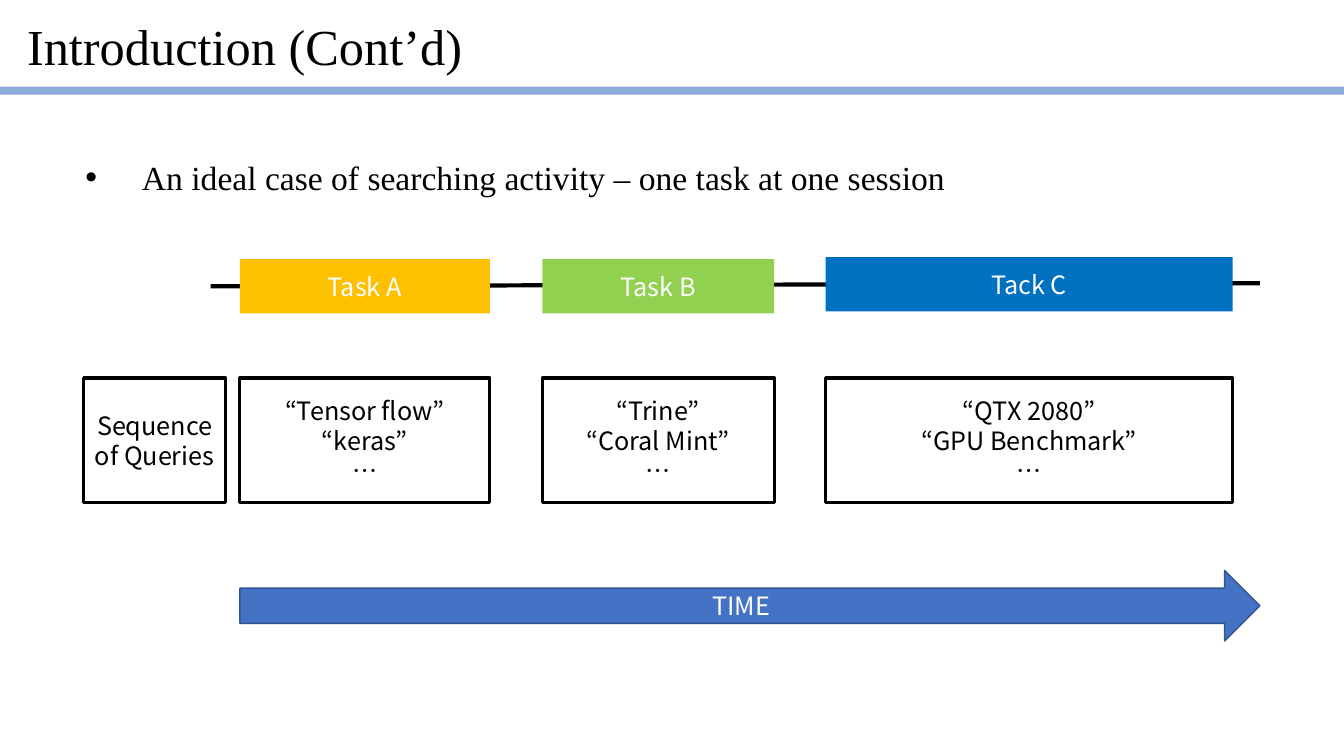
from dataclasses import dataclass

from lxml import etree
from pptx import Presentation
from pptx import util as u
from pptx.dml.color import RGBColor
from pptx.enum import shapes, text
from pptx.oxml.ns import qn

COLS, ROWS = 160, 90
WIDTH, HEIGHT = u.Inches(13.333), u.Inches(7.5)


@dataclass(frozen=True)
class Theme:
    """Colours, fonts and type sizes of the slide."""
    ink: str = "000000"
    paper: str = "FFFFFF"
    rule: str = "8FAADC"
    arrow: str = "4472C4"
    arrow_edge: str = "325491"
    serif: str = "Times New Roman"
    sans: str = "Noto Sans CJK KR"
    title: int = 36
    body: int = 24
    label: int = 18


T = Theme()

TASKS = [
    ("Task A", "FFC000", 28.56, 30.84, 29.76, "“Tensor flow”\n“keras”\n…"),
    ("Task B", "92D050", 64.56, 30.84, 27.6, "“Trine”\v“Coral Mint”\n…"),
    ("Tack C", "0070C0", 98.28, 30.6, 48.48, "“QTX 2080”\n“GPU Benchmark”\n…"),
]


def x(cols):
    """Convert grid columns to a length."""
    return u.Emu(round(WIDTH * cols / COLS))


def y(rows):
    """Convert grid rows to a length."""
    return u.Emu(round(HEIGHT * rows / ROWS))


def place(left, top, width, height):
    """Convert a grid box to slide lengths."""
    return x(left), y(top), x(width), y(height)


def write(sp, words, font, size, color, align, anchor):
    """Fill a shape with evenly formatted text."""
    tf = sp.text_frame
    tf.text = words
    tf.word_wrap = True
    tf.vertical_anchor = anchor
    for p in tf.paragraphs:
        p.alignment = align
        for r in p.runs:
            r.font.size = u.Pt(size)
            r.font.color.rgb = RGBColor.from_string(color)
            r.font.name = font
            etree.SubElement(r.font._element, qn("a:ea"), typeface=font)
    return tf.paragraphs[0]


def add_block(s, box, words="", fill=None, line=None, weight=1, color=T.paper,
              kind=shapes.MSO_SHAPE.RECTANGLE):
    """Add a preset shape with centred label text."""
    sp = s.shapes.add_shape(kind, *place(*box))
    sp.shadow.inherit = False
    if fill:
        sp.fill.solid()
        sp.fill.fore_color.rgb = RGBColor.from_string(fill)
    else:
        sp.fill.background()
    if line:
        sp.line.color.rgb = RGBColor.from_string(line)
        sp.line.width = u.Pt(weight)
    else:
        sp.line.fill.background()
    if words:
        write(sp, words, T.sans, T.label, color,
              text.PP_ALIGN.CENTER, text.MSO_ANCHOR.MIDDLE)


def add_queries(s, left, width, words):
    """Add an outlined box in the row of queries."""
    add_block(s, (left, 45, width, 14.88), words, line=T.ink, weight=2.25, color=T.ink)


def add_text(s, box, words, size, spacing, anchor):
    """Add a justified serif text box and return its paragraph."""
    sp = s.shapes.add_textbox(*place(*box))
    p = write(sp, words, T.serif, size, T.ink, text.PP_ALIGN.JUSTIFY, anchor)
    p.line_spacing = spacing
    return p


def add_bullet(p):
    """Give a paragraph a hanging bullet."""
    p.level = 1
    pPr = p._p.get_or_add_pPr()
    pPr.set("marL", str(u.Inches(1.06)))
    pPr.set("indent", str(u.Inches(-0.56)))
    etree.SubElement(pPr, qn("a:buFont"), typeface="Arial")
    etree.SubElement(pPr, qn("a:buChar"), char="•")


def add_timeline(s):
    """Add the line that runs behind the tasks."""
    line = s.shapes.add_connector(shapes.MSO_CONNECTOR.STRAIGHT,
                                  x(25.08), y(34.08), x(150), y(33.72))
    line.line.color.rgb = RGBColor.from_string(T.ink)
    line.line.width = u.Pt(3)
    etree.SubElement(line._element.spPr, qn("a:effectLst"))


def main():
    """Build and save the slide."""
    prs = Presentation()
    prs.slide_width, prs.slide_height = WIDTH, HEIGHT
    s = prs.slides.add_slide(prs.slide_layouts[6])

    add_text(s, (2.04, 1.92, 153.12, 7.92), "Introduction (Cont’d)",
             T.title, 0.9, text.MSO_ANCHOR.MIDDLE)
    add_block(s, (0, 10.32, COLS, 0.96), fill=T.rule)
    add_block(s, (28.56, 67.92, 121.44, 8.4), "TIME", T.arrow, T.arrow_edge,
              kind=shapes.MSO_SHAPE.RIGHT_ARROW)

    add_timeline(s)
    add_queries(s, 9.96, 16.92, "Sequence of Queries")
    for name, fill, left, top, width, queries in TASKS:
        add_block(s, (left, top, width, 6.48), name, fill)
        add_queries(s, left, width, queries)

    add_bullet(add_text(s, (3, 17.64, 150.96, 8.76),
                        "An ideal case of searching activity – one task at one session",
                        T.body, 1.1, text.MSO_ANCHOR.TOP))
    prs.save("out.pptx")


if __name__ == "__main__":
    main()
